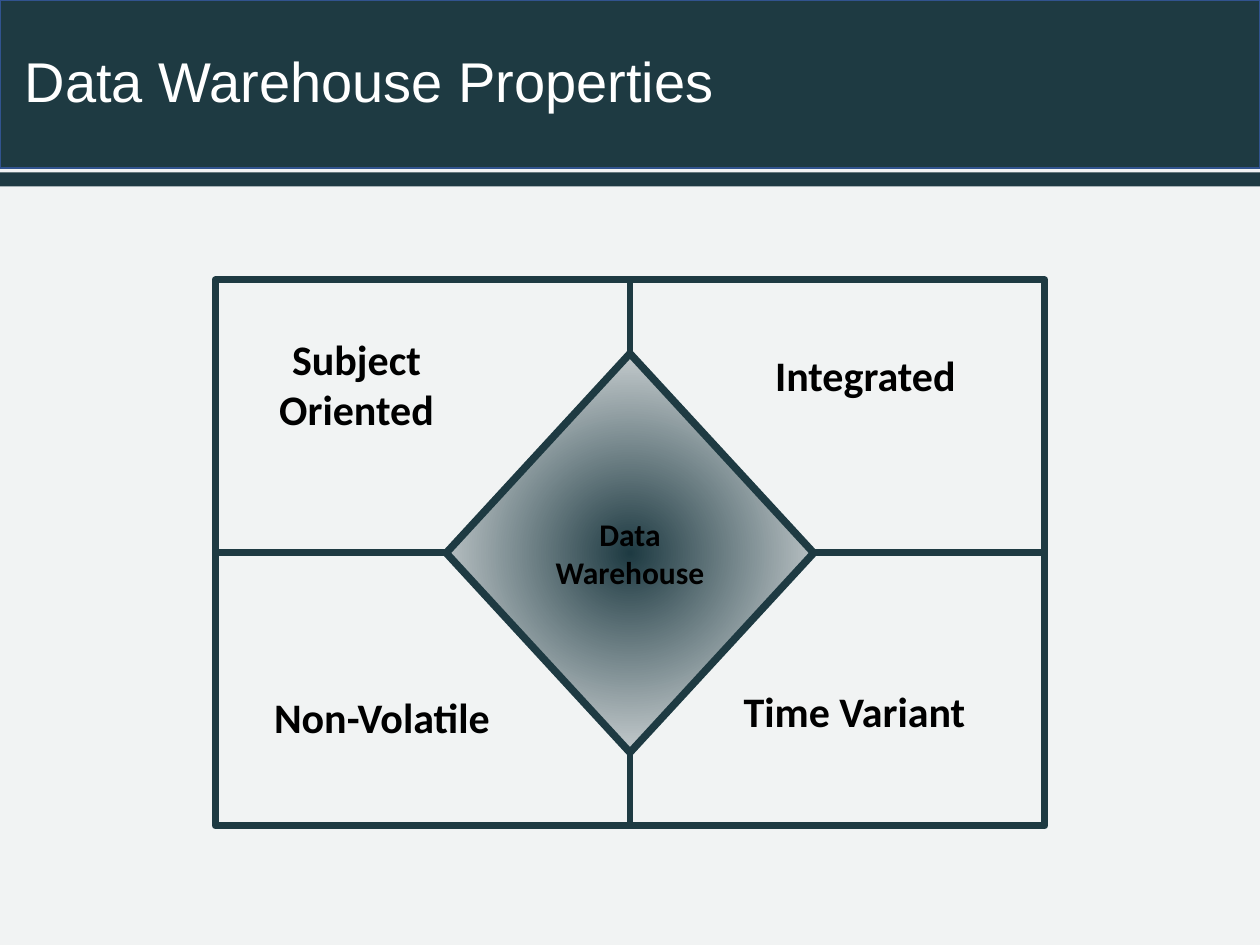
from dataclasses import dataclass
from typing import NamedTuple, Optional

from lxml import etree
from pptx import Presentation
from pptx.dml.color import RGBColor
from pptx.enum.shapes import MSO_CONNECTOR as Conn, MSO_SHAPE as Shp
from pptx.enum.text import MSO_ANCHOR as Anchor, MSO_AUTO_SIZE as AutoSize, PP_ALIGN as Align
from pptx.oxml import parse_xml
from pptx.oxml.ns import nsdecls, qn
from pptx.util import Pt


@dataclass(frozen=True)
class Theme:
    dark: str = "1E3A42"
    edge: str = "31538F"
    paper: str = "F1F3F3"
    white: str = "FFFFFF"
    black: str = "000000"
    title_font: str = "Arial"
    body_font: str = "Calibri"
    title_size: float = 32
    label_size: float = 24
    core_size: float = 18
    rule: float = 4
    core_rule: float = 4.25


class Box(NamedTuple):
    x: float
    y: float
    w: float
    h: float

    def side(self, i: int) -> tuple[float, float]:
        """Middle of a side: 0 top, 1 left, 2 bottom, 3 right."""
        cx, cy = self.x + self.w / 2, self.y + self.h / 2
        return [(cx, self.y), (self.x, cy), (cx, self.y + self.h), (self.x + self.w, cy)][i]


@dataclass(frozen=True)
class Label:
    text: str
    box: Box


T = Theme()
BANNER = Box(0, 0, 720, 96)
STRIPE = Box(0, 98.5, 720, 8)
TITLE = Box(7, 0, 713, 96)
FRAME = Box(123, 160, 474, 312)
CORE = Box(255, 202, 210, 228)
LABELS = [
    Label("Integrated", Box(429, 196, 131, 36)),
    Label("Time Variant", Box(417, 388, 142.5, 36)),
    Label("Non-Volatile", Box(148, 391.5, 140.5, 36)),
    Label("Subject\nOriented", Box(152, 187, 103.5, 65.5)),
]


def rgb(color: str) -> RGBColor:
    return RGBColor.from_string(color)


def add_box(s, kind, box: Box, *, fill: Optional[str] = None,
            line: Optional[str] = None, width: float = 1):
    sp = s.shapes.add_shape(kind, *map(Pt, box))
    sp.shadow.inherit = False
    if fill:
        sp.fill.solid()
        sp.fill.fore_color.rgb = rgb(fill)
    else:
        sp.fill.background()
    if line:
        sp.line.color.rgb = rgb(line)
        sp.line.width = Pt(width)
    else:
        sp.line.fill.background()
    return sp


def write(sp, text: str, *, size: float, font: str = T.body_font, color: str = T.black,
          bold: bool = True, align=Align.CENTER, anchor=Anchor.TOP,
          wrap: bool = True, spacing: Optional[float] = None) -> None:
    tf = sp.text_frame
    tf.word_wrap = wrap
    tf.vertical_anchor = anchor
    for i, line in enumerate(text.split("\n")):
        p = tf.paragraphs[0] if i == 0 else tf.add_paragraph()
        p.alignment = align
        p.line_spacing = spacing
        r = p.add_run()
        r.text = line
        r.font.name, r.font.size, r.font.bold = font, Pt(size), bold
        r.font.color.rgb = rgb(color)


def add_spoke(s, i: int):
    ends = (*FRAME.side(i), *CORE.side(i))
    c = s.shapes.add_connector(Conn.STRAIGHT, *map(Pt, ends))
    c.line.color.rgb = rgb(T.dark)
    c.line.width = Pt(T.rule)
    etree.SubElement(c._element.spPr, qn("a:effectLst"))
    return c


def radial_fill(sp, inner: str, outer: str) -> None:
    grad = parse_xml(
        f'<a:gradFill {nsdecls("a")} rotWithShape="1"><a:gsLst>'
        f'<a:gs pos="0"><a:srgbClr val="{inner}"/></a:gs>'
        f'<a:gs pos="100000"><a:srgbClr val="{outer}"/></a:gs></a:gsLst>'
        '<a:path path="circle"><a:fillToRect l="50000" t="50000" r="50000" b="50000"/>'
        '</a:path></a:gradFill>')
    spPr = sp._element.spPr
    spPr.replace(spPr.find(qn("a:noFill")), grad)


def main() -> None:
    prs = Presentation()
    prs.slide_width, prs.slide_height = Pt(720), Pt(540)
    s = prs.slides.add_slide(prs.slide_layouts[6])
    s.background.fill.solid()
    s.background.fill.fore_color.rgb = rgb(T.paper)

    # Banner and title
    add_box(s, Shp.RECTANGLE, BANNER, fill=T.dark, line=T.edge)
    add_box(s, Shp.RECTANGLE, STRIPE, fill=T.dark)
    write(s.shapes.add_textbox(*map(Pt, TITLE)), "Data Warehouse Properties",
          size=T.title_size, font=T.title_font, color=T.white, bold=False,
          align=Align.LEFT, anchor=Anchor.MIDDLE, spacing=0.9)

    # Spokes lie behind the frame and the core, and are joined to both
    spokes = [add_spoke(s, i) for i in range(4)]
    frame = add_box(s, Shp.RECTANGLE, FRAME, line=T.dark, width=T.rule)
    core = add_box(s, Shp.FLOWCHART_DECISION, CORE, line=T.dark, width=T.core_rule)
    radial_fill(core, T.dark, T.white)
    write(core, "Data\nWarehouse", size=T.core_size, anchor=Anchor.MIDDLE)
    for i, c in enumerate(spokes):
        c.begin_connect(frame, i)
        c.end_connect(core, i)

    # Property labels
    for label in LABELS:
        sp = s.shapes.add_textbox(*map(Pt, label.box))
        write(sp, label.text, size=T.label_size, wrap=False)
        sp.text_frame.auto_size = AutoSize.SHAPE_TO_FIT_TEXT

    prs.save("out.pptx")


if __name__ == "__main__":
    main()
